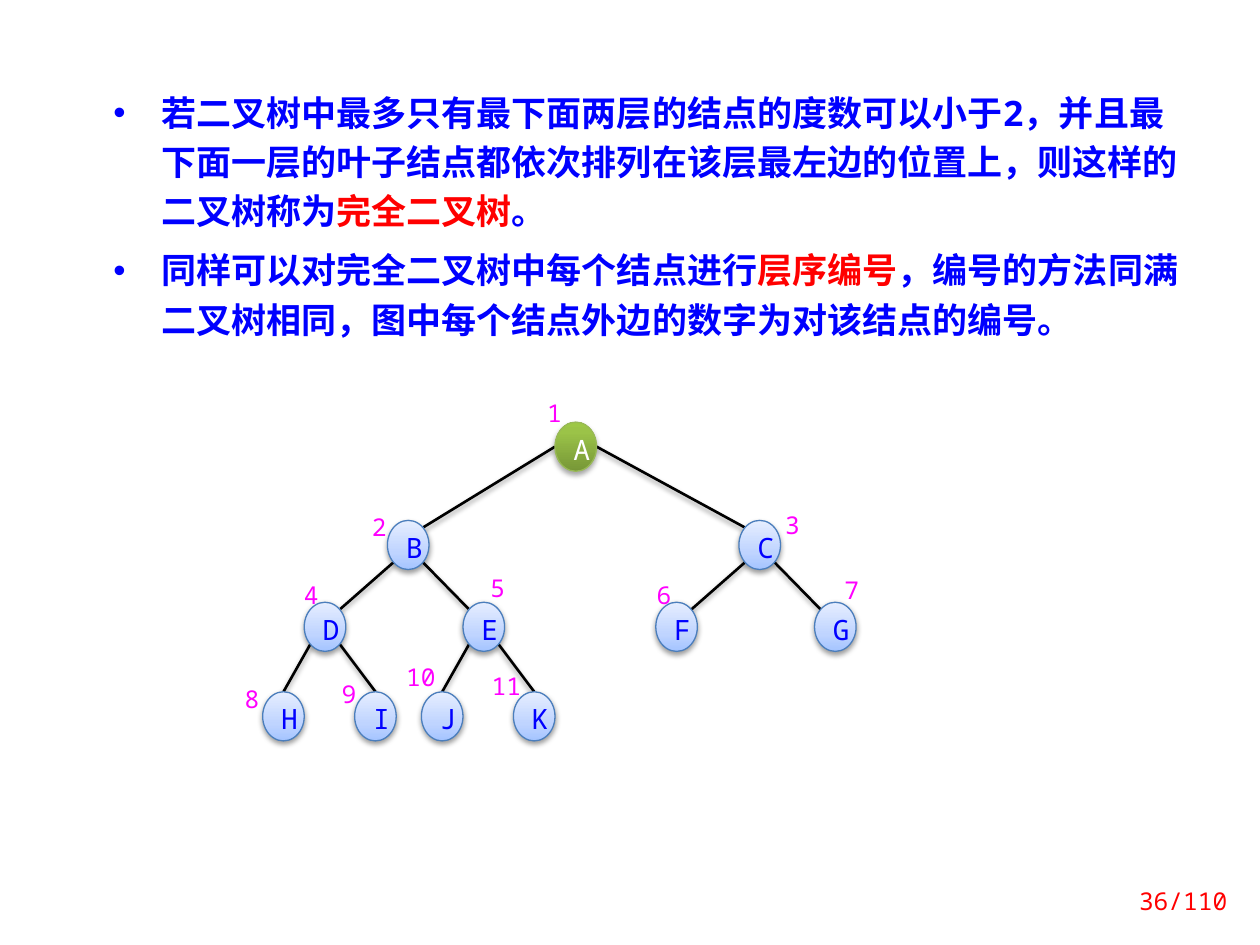
from math import sqrt
from lxml.etree import SubElement as Sub
from pptx import Presentation
from pptx.dml.color import RGBColor
from pptx.enum.shapes import MSO_CONNECTOR as Conn, MSO_SHAPE as Kind
from pptx.enum.text import MSO_ANCHOR as Anchor, MSO_AUTO_SIZE as Fit, PP_ALIGN as Align
from pptx.oxml.ns import qn
from pptx.util import Emu, Inches, Pt

# Content: (text, colour) runs for each bullet
BULLETS = [
    [("若二叉树中最多只有最下面两层的结点的度数可以小于2，并且最下面一层的叶子结点"
      "都依次排列在该层最左边的位置上，则这样的二叉树称为", "blue"),
     ("完全二叉树", "red"), ("。", "blue")],
    [("同样可以对完全二叉树中每个结点进行", "blue"), ("层序编号", "red"),
     ("，编号的方法同满二叉树相同，图中每个结点外边的数字为对该结点的编号。", "blue")],
]
# Nodes in level order: letter, left and top of its number
NODES = [
    ("A", 4.2, 3.2), ("B", 2.81, 4.11), ("C", 6.09, 4.09), ("D", 2.27, 4.65),
    ("E", 3.75, 4.59), ("F", 5.07, 4.65), ("G", 6.56, 4.61), ("H", 1.8, 5.47),
    ("I", 2.57, 5.43), ("J", 3.14, 5.3), ("K", 3.82, 5.37),
]
PAGE = "36/110"

# Style
HUES = {"blue": "0000FF", "red": "FF0000", "pink": "FF00FF", "white": "FFFFFF",
        "black": "000000", "leaf": "98B955", "sky": "4B7EBC"}
GREEN = [(0, "779737"), (80, "9BC348"), (100, "9DC746")]
PALE = [(0, "A4C4FF"), (35, "BFD4FF"), (100, "E6EEFF")]
FONT = "Noto Sans Mono"

# Tree grid: top of each level, and left and right step to the children
TOPS = [3.35, 4.13, 4.78, 5.49]
STEPS = [(-1.33, 1.46), (-0.66, 0.6), (-0.33, 0.4)]
ROOT, WIDE, HIGH = 4.57, 0.33, 0.39


def hue(name):
    return RGBColor.from_string(HUES[name])


def box(area):
    return [Inches(n) for n in area]


def style(par, size, color=None, bold=None):
    par.font.name, par.font.size, par.font.bold = FONT, Pt(size), bold
    if color:
        par.font.color.rgb = hue(color)


def space(par, line):
    """Line spacing, with half a line before the paragraph."""
    par.line_spacing = line
    par.space_before = Pt(0)
    gap = par._p.pPr.find(qn("a:spcBef"))
    gap.remove(gap[0])
    Sub(gap, qn("a:spcPct"), val="50000")


def shade(item, alpha=38, dist=1.6):
    part = item._element.spPr
    list_ = part.find(qn("a:effectLst"))
    if list_ is None:
        list_ = Sub(part, qn("a:effectLst"))
    cast = Sub(list_, qn("a:outerShdw"), blurRad=str(Pt(3.1)), dist=str(Pt(dist)),
               dir="5400000", rotWithShape="0")
    tint = Sub(cast, qn("a:srgbClr"), val=HUES["black"])
    Sub(tint, qn("a:alpha"), val=str(alpha * 1000))


def blend(fill, shape, stops):
    fill.gradient()
    fill.gradient_angle = 90
    list_ = next(shape._element.spPr.iter(qn("a:gsLst")))
    for old in list(list_):
        list_.remove(old)
    for pos, color in stops:
        stop = Sub(list_, qn("a:gs"), pos=str(pos * 1000))
        Sub(stop, qn("a:srgbClr"), val=color)


def add_text(slide, area, inset=None):
    frame = slide.shapes.add_textbox(*box(area)).text_frame
    frame.word_wrap = True
    if inset:
        (frame.margin_left, frame.margin_top,
         frame.margin_right, frame.margin_bottom) = box(inset)
    return frame


def add_bullets(slide):
    frame = add_text(slide, (0.7, 0.55, 8.75, 2.29), (0.2, 0.12, 0.1, 0.12))
    frame.auto_size = Fit.SHAPE_TO_FIT_TEXT
    for i, runs in enumerate(BULLETS):
        par = frame.add_paragraph() if i else frame.paragraphs[0]
        par.line_spacing, par.space_before = Pt(28), Pt(6)
        props = par._p.get_or_add_pPr()
        props.set("marL", str(Inches(0.38)))
        props.set("indent", str(-Inches(0.38)))
        Sub(props, qn("a:buFont"), typeface="Arial")
        Sub(props, qn("a:buChar"), char="•")
        style(par, 20, bold=True)
        for text, color in runs:
            run = par.add_run()
            run.text = text
            run.font.color.rgb = hue(color)


def add_node(slide, letter, mid, top, root):
    node = slide.shapes.add_shape(
        Kind.OVAL, *box((mid - WIDE / 2, top, WIDE, HIGH)))
    blend(node.fill, node, GREEN if root else PALE)
    node.line.color.rgb = hue("leaf" if root else "sky")
    node.line.width = Pt(0.75)
    node.shadow.inherit = False
    shade(node, *((35, 1.8) if root else ()))
    frame = node.text_frame
    frame.vertical_anchor = Anchor.MIDDLE
    par = frame.paragraphs[0]
    par.text, par.alignment = letter, Align.CENTER
    space(par, Pt(22))
    style(par, 16, "white" if root else "blue")


def add_edge(slide, start, end, level, side):
    """Join two nodes; side is -1 for a left child and 1 for a right one."""
    dx, dy = WIDE / 2 / sqrt(2), HIGH / 2 / sqrt(2)
    half = HIGH / 2
    x1, y1 = (WIDE / 2, 0) if level == 0 else (dx, dy)
    x2, y2 = (0, half) if level == 2 else (dx, dy)
    edge = slide.shapes.add_connector(Conn.STRAIGHT, *box((
        start[0] + side * x1, start[1] + half + y1,
        end[0] - side * x2, end[1] + half - y2)))
    edge.line.color.rgb = hue("black")
    edge.line.width = Pt(1.5)
    shade(edge)


def add_tree(slide):
    # Node k has its parent at k // 2
    spots = {1: (ROOT, TOPS[0])}
    for k in range(2, len(NODES) + 1):
        level = k.bit_length() - 1
        spots[k] = (spots[k // 2][0] + STEPS[level - 1][k % 2], TOPS[level])
        add_edge(slide, spots[k // 2], spots[k], level - 1, 1 if k % 2 else -1)
    for k, (letter, left, top) in enumerate(NODES, 1):
        add_node(slide, letter, *spots[k], k == 1)
        frame = add_text(slide, (left, top, 0.4, 0.19), (0, 0, 0, 0))
        frame.auto_size = Fit.SHAPE_TO_FIT_TEXT
        par = frame.paragraphs[0]
        par.text, par.alignment = str(k), Align.CENTER
        space(par, 0.8)
        style(par, 14, "pink")


def add_page(slide):
    frame = add_text(slide, (8.7, 6.95, 1.14, 0.4))
    frame.vertical_anchor = Anchor.MIDDLE
    par = frame.paragraphs[0]
    par.text, par.alignment = PAGE, Align.RIGHT
    style(par, 14, "red")


def main():
    deck = Presentation()
    deck.slide_width, deck.slide_height = box((10, 7.5))
    slide = deck.slides.add_slide(deck.slide_layouts[6])
    add_bullets(slide)
    add_tree(slide)
    add_page(slide)
    deck.save("out.pptx")


if __name__ == "__main__":
    main()
